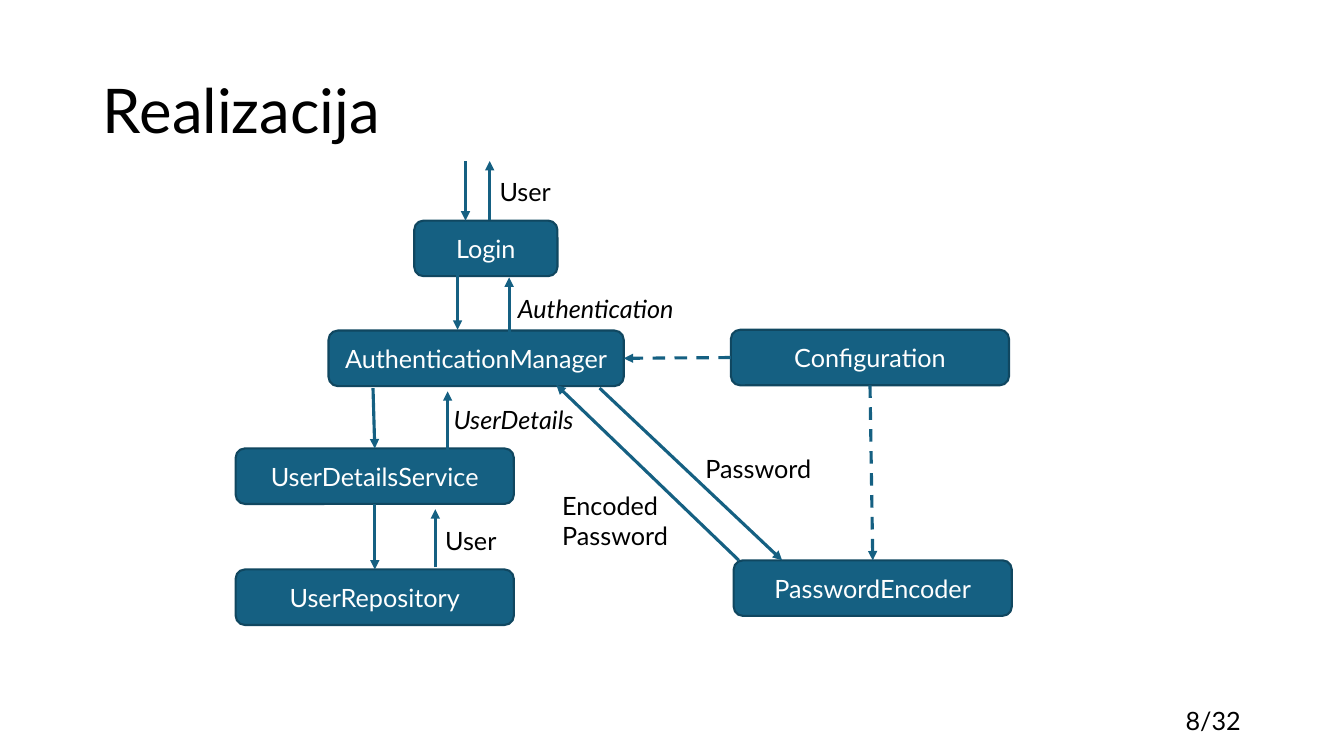
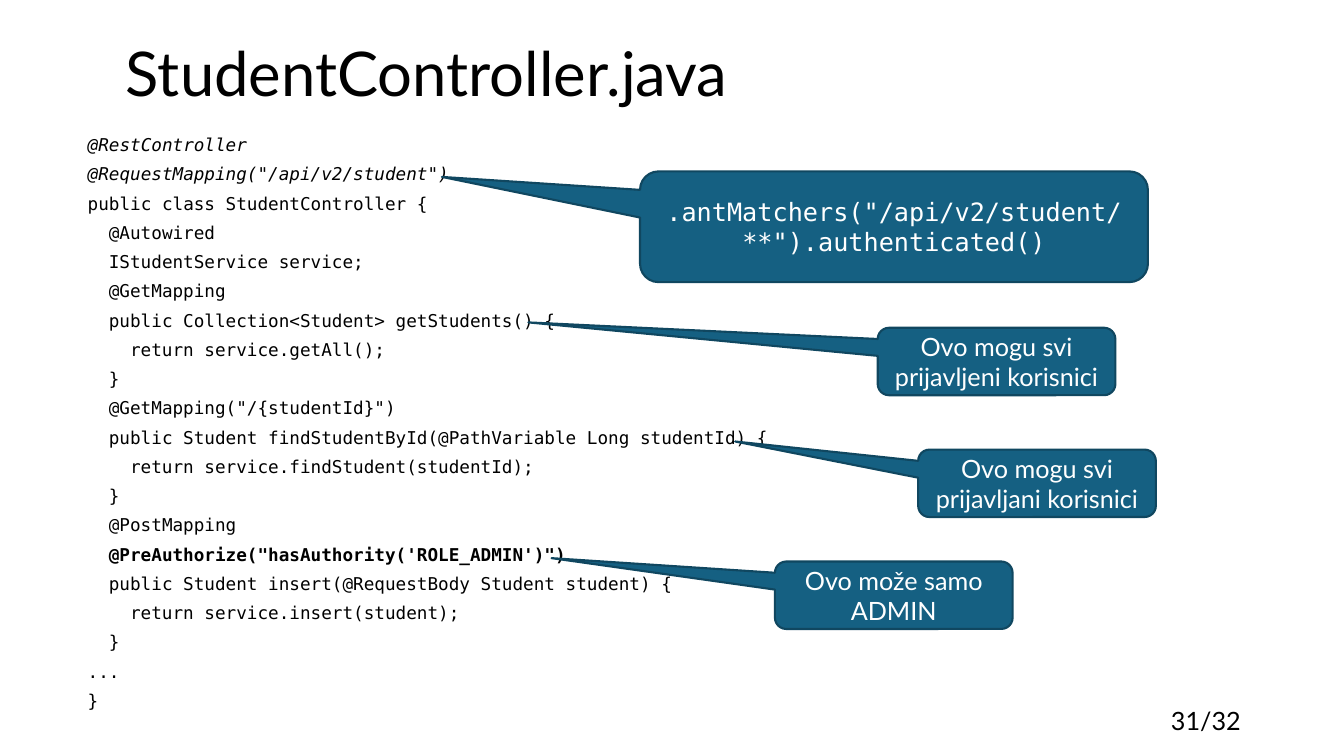
from lxml.etree import SubElement
from pptx import Presentation
from pptx.dml.color import RGBColor
from pptx.enum.dml import MSO_LINE
from pptx.enum.shapes import MSO_CONNECTOR, MSO_SHAPE
from pptx.enum.text import MSO_ANCHOR, MSO_AUTO_SIZE, PP_ALIGN
from pptx.oxml.ns import qn
from pptx.util import Cm, Pt

# Shared look
BLUE = RGBColor(0x15, 0x60, 0x82)
DARK_BLUE = RGBColor(0x10, 0x47, 0x60)
BLACK = RGBColor(0, 0, 0)
WHITE = RGBColor(255, 255, 255)
SANS = "Lato"
MONO = "DejaVu Sans Mono"
PAGE_COUNT = 32
BOX_HEIGHT = 1.4
LABEL_HEIGHT = 1.02
CODE_INDENT = 0.535
TOP, LEFT, BOTTOM, RIGHT = 0, 1, 2, 3

# Login flow, lengths in cm: name -> left, top, width
BOXES = {
    "Login": (10.44, 5.56, 3.61),
    "AuthenticationManager": (8.28, 8.33, 7.44),
    "UserDetailsService": (5.94, 11.3, 7.01),
    "UserRepository": (5.94, 14.35, 7.01),
    "PasswordEncoder": (18.49, 14.12, 7.01),
    "Configuration": (18.42, 8.31, 7.01),
}
# Each end is a point or a (box name, side); the last item tells dashed
ARROWS = [
    ((11.73, 4.06), (11.73, 5.56), False),
    ((12.34, 5.54), (12.34, 4.06), False),
    ((11.53, 6.93), (11.53, 8.31), False),
    ((12.83, 8.48), (12.83, 6.99), False),
    ((9.4, 9.78), ("UserDetailsService", TOP), False),
    ((11.28, 11.33), (11.28, 9.86), False),
    (("UserDetailsService", BOTTOM), ("UserRepository", TOP), False),
    ((10.97, 14.3), (10.97, 12.83), False),
    ((15.11, 9.78), (19.71, 14.12), False),
    ((18.62, 14.12), (14.02, 9.7), False),
    (("Configuration", LEFT), ("AuthenticationManager", RIGHT), True),
    (("Configuration", BOTTOM), ("PasswordEncoder", TOP), True),
]
# Text, left, top, width, italic
LABELS = [
    ("User", 12.34, 4.32, 2.31, False),
    ("Authentication", 12.8, 7.26, 4.75, True),
    ("UserDetails", 11.18, 10.06, 3.94, True),
    ("User", 10.97, 13.11, 2.06, False),
    ("Password", 17.53, 11.3, 3.94, False),
    ("Encoded Password", 13.92, 12.22, 4.5, False),
]

# Controller listing: indent level, text, format
ITALIC = {"italic": True}
BOLD = {"bold": True}
CODE = [
    (0, "@RestController", ITALIC),
    (0, '@RequestMapping("/api/v2/student")', ITALIC),
    (0, "public class StudentController {", {}),
    (1, "@Autowired", {}),
    (1, "IStudentService service;", {}),
    (1, "@GetMapping", {}),
    (1, "public Collection<Student> getStudents() {", {}),
    (2, "return service.getAll();", {}),
    (1, "}", {}),
    (1, '@GetMapping("/{studentId}")', {}),
    (1, "public Student findStudentById(@PathVariable Long studentId) {", {}),
    (2, "return service.findStudent(studentId);", {}),
    (1, "}", {}),
    (1, "@PostMapping", {}),
    (1, "@PreAuthorize(\"hasAuthority('ROLE_ADMIN')\")", BOLD),
    (1, "public Student insert(@RequestBody Student student) {", {}),
    (2, "return service.insert(student);", {}),
    (1, "}", {}),
    (0, "...", {}),
    (0, "}", {}),
]
# Text, font, place and size, pointer tip relative to the centre
CALLOUTS = [
    ('.antMatchers("/api/v2/student/**").authenticated()', MONO,
     (16.13, 4.32, 12.8, 2.79), (-0.89, -0.45)),
    ("Ovo mogu svi prijavljeni korisnici", SANS,
     (22.12, 8.26, 5.99, 1.7), (-1.97, -0.58)),
    ("Ovo mogu svi prijavljani korisnici", SANS,
     (23.14, 11.33, 5.99, 1.7), (-1.27, -0.62)),
    ("Ovo može samo ADMIN", SANS,
     (19.53, 14.15, 5.99, 1.7), (-1.44, -0.55)),
]


def write(para, text, font=SANS, size=18, color=BLACK, align=PP_ALIGN.LEFT,
          bold=False, italic=False, spacing=None, before=0, indent=0):
    para.alignment = align
    para.space_before = Pt(before)
    if spacing:
        para.line_spacing = spacing
    if indent:
        para._p.get_or_add_pPr().set("marL", str(Cm(indent)))
    span = para.add_run()
    span.text = text
    span.font.name = font
    span.font.size = Pt(size)
    span.font.bold = bold
    span.font.italic = italic
    span.font.color.rgb = color


def add_text_box(page, left, top, width, height=LABEL_HEIGHT):
    box = page.shapes.add_textbox(Cm(left), Cm(top), Cm(width), Cm(height))
    box.text_frame.word_wrap = True
    return box.text_frame


def add_page(deck, title, number, place):
    page = deck.slides.add_slide(deck.slide_layouts[5])
    heading = page.shapes.title
    heading.left, heading.top, heading.width, heading.height = map(Cm, place)
    frame = heading.text_frame
    frame.auto_size = MSO_AUTO_SIZE.NONE
    frame.vertical_anchor = MSO_ANCHOR.MIDDLE
    write(frame.paragraphs[0], title, size=44, spacing=0.9)
    footer = add_text_box(page, 23.9, 17.65, 7.62)
    write(footer.paragraphs[0], f"{number}/{PAGE_COUNT}", align=PP_ALIGN.RIGHT)
    return page


def add_blue_shape(page, kind, text, place, font=SANS):
    shape = page.shapes.add_shape(kind, *map(Cm, place))
    shape.shadow.inherit = False
    shape.fill.solid()
    shape.fill.fore_color.rgb = BLUE
    shape.line.color.rgb = DARK_BLUE
    shape.line.width = Pt(1.5)
    frame = shape.text_frame
    frame.word_wrap = True
    frame.vertical_anchor = MSO_ANCHOR.MIDDLE
    write(frame.paragraphs[0], text, font=font, color=WHITE, align=PP_ALIGN.CENTER)
    return shape


def add_arrow(page, boxes, start, end, dashed):
    joined = [point[0] in boxes for point in (start, end)]
    ends = [(0, 0) if join else point for point, join in zip((start, end), joined)]
    arrow = page.shapes.add_connector(
        MSO_CONNECTOR.STRAIGHT, *(Cm(value) for point in ends for value in point))
    for point, join, connect in zip(
            (start, end), joined, (arrow.begin_connect, arrow.end_connect)):
        if join:
            connect(boxes[point[0]], point[1])
    arrow.line.color.rgb = BLUE
    arrow.line.width = Pt(2.25)
    if dashed:
        arrow.line.dash_style = MSO_LINE.DASH
    properties = arrow.element.spPr
    SubElement(properties.find(qn("a:ln")), qn("a:tailEnd"), type="triangle")
    SubElement(properties, qn("a:effectLst"))


def build_login_flow(deck):
    page = add_page(deck, "Realizacija", 8, (2.34, 1.02, 29.21, 3.68))
    boxes = {
        name: add_blue_shape(page, MSO_SHAPE.ROUNDED_RECTANGLE, name,
                             (*place, BOX_HEIGHT))
        for name, place in BOXES.items()
    }
    for start, end, dashed in ARROWS:
        add_arrow(page, boxes, start, end, dashed)
    for text, left, top, width, italic in LABELS:
        frame = add_text_box(page, left, top, width)
        write(frame.paragraphs[0], text, italic=italic)


def build_controller(deck):
    page = add_page(deck, "StudentController.java", 31, (2.92, 0.76, 25.45, 2.36))
    frame = add_text_box(page, 1.96, 3.4, 26.42, 15.14)
    for index, (level, text, style) in enumerate(CODE):
        para = frame.add_paragraph() if index else frame.paragraphs[0]
        write(para, text, font=MONO, size=12.6, spacing=0.7, before=10.3,
              indent=level * CODE_INDENT, **style)
    for text, font, place, tip in CALLOUTS:
        callout = add_blue_shape(
            page, MSO_SHAPE.ROUNDED_RECTANGULAR_CALLOUT, text, place, font)
        callout.adjustments[0], callout.adjustments[1] = tip


def main():
    deck = Presentation()
    deck.slide_width, deck.slide_height = Cm(33.87), Cm(19.05)
    build_login_flow(deck)
    build_controller(deck)
    deck.save("out.pptx")


if __name__ == "__main__":
    main()
